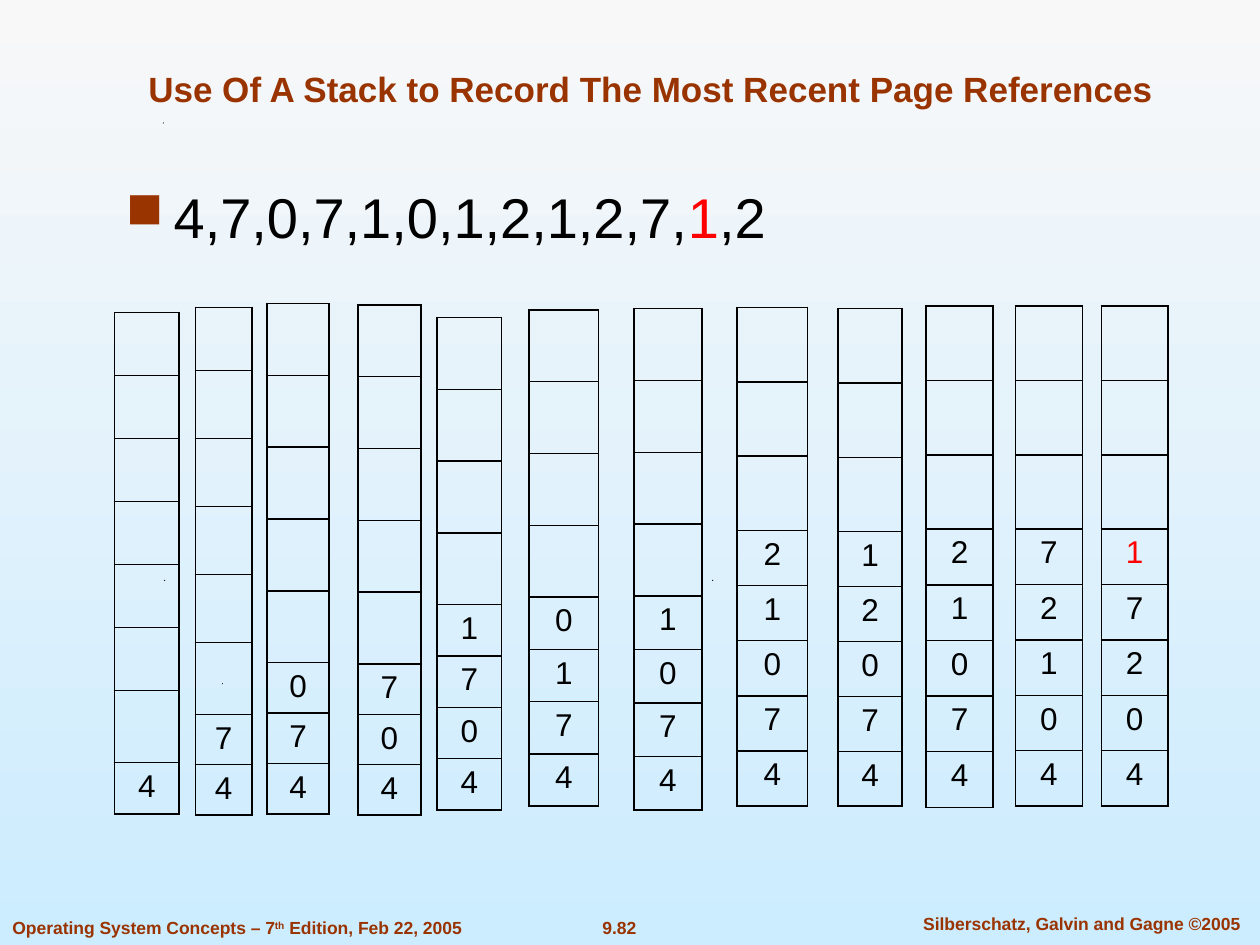
"""Build a slide that follows a page reference stack through twelve references."""
from typing import NamedTuple

from lxml.etree import SubElement
from pptx import Presentation
from pptx.dml.color import RGBColor
from pptx.enum.text import MSO_ANCHOR as Anchor, PP_ALIGN as Align
from pptx.oxml.ns import qn
from pptx.util import Pt

PX = 9144
BROWN = RGBColor(0x99, 0x33, 0x00)
BLACK = RGBColor(0x00, 0x00, 0x00)
RED = RGBColor(0xFF, 0x00, 0x00)
SKY_TOP = RGBColor(0xF8, 0xF8, 0xF8)
SKY_BOTTOM = RGBColor(0xCC, 0xEC, 0xFF)
FONT = "Arial"
REFERENCES = "4707101212712"
RED_STEP = 11


class Box(NamedTuple):
    left: int
    top: int
    width: int
    height: int

    def emu(self) -> list[int]:
        return [side * PX for side in self]


class Run(NamedTuple):
    text: str
    color: RGBColor = BROWN
    raised: bool = False


class Stack(NamedTuple):
    box: Box
    empty_rows: list[int]


STACKS = [
    Stack(Box(91, 248, 51, 398), [50] * 6 + [57]),
    Stack(Box(155, 244, 45, 403), [50] + [54] * 4 + [57]),
    Stack(Box(212, 241, 49, 404), [57] * 5),
    Stack(Box(284, 242, 50, 404), [57] * 5),
    Stack(Box(347, 252, 51, 391), [57] * 4),
    Stack(Box(420, 246, 55, 394), [57] * 4),
    Stack(Box(503, 245, 54, 398), [57] * 4),
    Stack(Box(585, 244, 56, 396), [59] * 3),
    Stack(Box(665, 245, 51, 395), [59] * 3),
    Stack(Box(735, 243, 53, 398), [59] * 3),
    Stack(Box(806, 243, 53, 397), [59] * 3),
    Stack(Box(874, 243, 53, 397), [59] * 3),
]
SPECKS = [(176, 542), (130, 460), (565, 460), (129, 97)]


def write(frame, runs: list[Run], *, size: int, bold: bool = False,
          align: Align = Align.CENTER, bullet: bool = False) -> None:
    """Fill the first paragraph of a text frame with formatted runs."""
    paragraph = frame.paragraphs[0]
    if bullet:
        props = paragraph._p.get_or_add_pPr()
        props.set("marL", str(38 * PX))
        props.set("indent", str(-38 * PX))
        tint = SubElement(props, qn("a:buClr"))
        SubElement(tint, qn("a:srgbClr"), val=str(BROWN))
        SubElement(props, qn("a:buSzPct"), val="90000")
        SubElement(props, qn("a:buChar"), char="■")
    paragraph.alignment = align
    for part in runs:
        run = paragraph.add_run()
        run.text = part.text
        run.font.name = FONT
        run.font.size = Pt(size)
        run.font.bold = bold
        run.font.color.rgb = part.color
        if part.raised:
            run._r.get_or_add_rPr().set("baseline", "30000")


def add_text(slide, box: Box, runs: list[Run], *, wrap: bool = True,
             anchor: Anchor = Anchor.TOP, **style) -> None:
    """Add a text box and write its runs."""
    frame = slide.shapes.add_textbox(*box.emu()).text_frame
    frame.word_wrap = wrap
    frame.vertical_anchor = anchor
    write(frame, runs, **style)


def add_borders(cell) -> None:
    """Draw thin black lines on all four sides of a cell."""
    props = cell._tc.get_or_add_tcPr()
    for position, side in enumerate(("lnL", "lnR", "lnT", "lnB")):
        line = SubElement(props, qn(f"a:{side}"), w=str(Pt(1)))
        ink = SubElement(line, qn("a:solidFill"))
        SubElement(ink, qn("a:srgbClr"), val=str(BLACK))
        props.insert(position, line)


def add_stack(slide, stack: Stack, pages: list[str], top_color: RGBColor) -> None:
    """Add one stack as a table, with its pages below the empty rows."""
    empty = len(stack.empty_rows)
    page_height = (stack.box.height - sum(stack.empty_rows)) / len(pages)
    heights = stack.empty_rows + [page_height] * len(pages)
    table = slide.shapes.add_table(len(heights), 1, *stack.box.emu()).table
    table.first_row = table.horz_banding = False
    for index, height in enumerate(heights):
        table.rows[index].height = int(height * PX)
        cell = table.cell(index, 0)
        cell.fill.background()
        add_borders(cell)
        if index >= empty:
            color = top_color if index == empty else BLACK
            write(cell.text_frame, [Run(pages[index - empty], color)], size=18)


def add_speck(slide, left: int, top: int) -> None:
    """Add a tiny black triangle."""
    outline = slide.shapes.build_freeform(left, top + 1, scale=PX)
    outline.add_line_segments([(left + 1, top), (left + 1, top + 1)])
    speck = outline.convert_to_shape()
    speck.shadow.inherit = False
    speck.fill.solid()
    speck.fill.fore_color.rgb = BLACK
    speck.line.fill.background()


def paint_background(slide) -> None:
    """Shade the slide from light grey at the top to pale blue."""
    fill = slide.background.fill
    fill.gradient()
    fill.gradient_angle = 270
    for stop, position, color in zip(fill.gradient_stops, (0, 1), (SKY_TOP, SKY_BOTTOM)):
        stop.position = position
        stop.color.rgb = color


def main() -> None:
    """Compose and save the slide."""
    deck = Presentation()
    deck.slide_width, deck.slide_height = 1000 * PX, 750 * PX
    slide = deck.slides.add_slide(deck.slide_layouts[6])
    paint_background(slide)
    for left, top in SPECKS:
        add_speck(slide, left, top)

    add_text(slide, Box(467, 723, 49, 27), [Run("9.82")], wrap=False, size=10, bold=True)
    add_text(slide, Box(710, 720, 297, 27),
             [Run("Silberschatz, Galvin and Gagne ©2005")], size=10, bold=True)
    add_text(slide, Box(0, 723, 378, 27),
             [Run("Operating System Concepts – 7"), Run("th", raised=True),
              Run(" Edition, Feb 22, 2005")],
             wrap=False, size=10, bold=True, align=Align.LEFT)
    add_text(slide, Box(75, 25, 883, 67),
             [Run("Use Of A Stack to Record The Most Recent Page References")],
             anchor=Anchor.BOTTOM, size=20, bold=True)
    add_text(slide, Box(90, 140, 804, 73),
             [Run(",".join(REFERENCES[:RED_STEP]) + ",", BLACK),
              Run(REFERENCES[RED_STEP], RED),
              Run("," + REFERENCES[RED_STEP + 1], BLACK)],
             size=32, align=Align.LEFT, bullet=True)

    pages: list[str] = []
    for step, (stack, page) in enumerate(zip(STACKS, REFERENCES)):
        pages = [page] + [older for older in pages if older != page]
        add_stack(slide, stack, pages, RED if step == RED_STEP else BLACK)

    deck.save("out.pptx")


if __name__ == "__main__":
    main()
